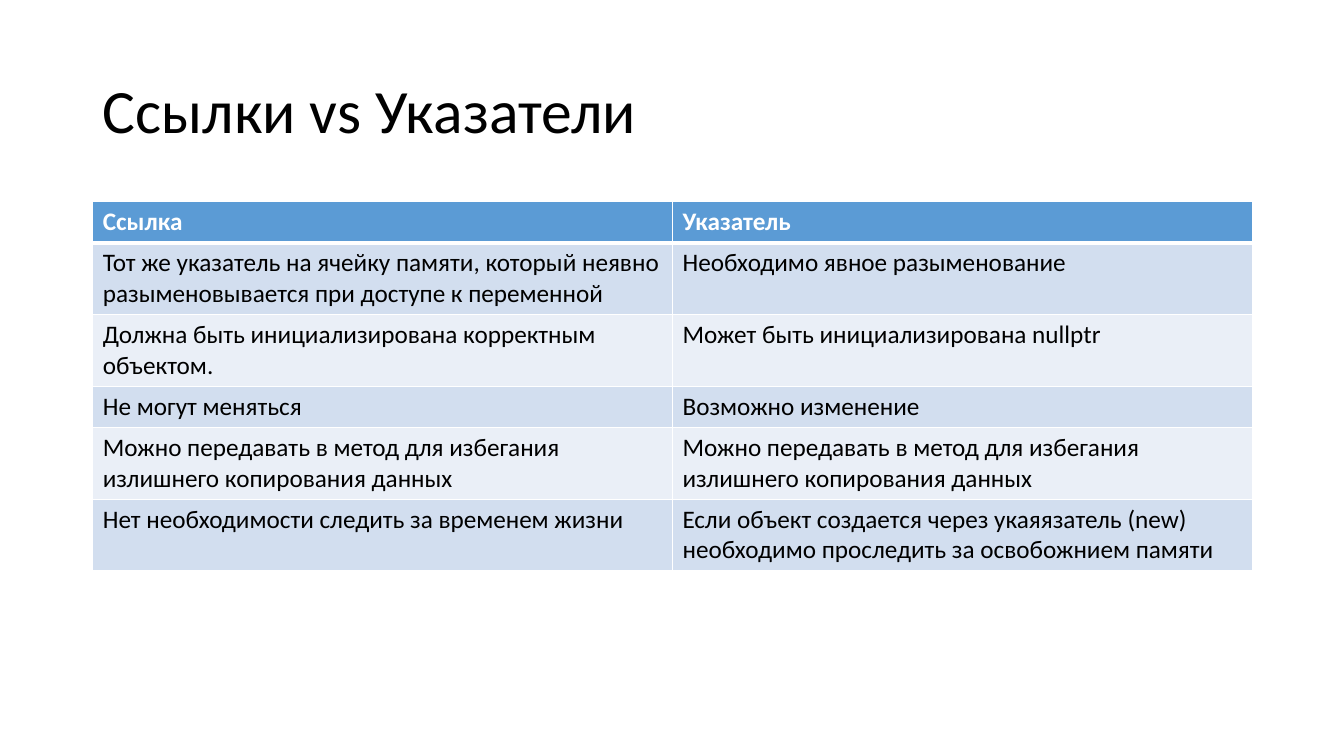
"""Build a slide comparing references and pointers in a two-column table."""
from dataclasses import dataclass

from lxml import etree
from pptx import Presentation
from pptx.dml.color import RGBColor
from pptx.enum.text import MSO_ANCHOR, MSO_AUTO_SIZE, PP_ALIGN
from pptx.oxml.ns import qn
from pptx.util import Inches, Pt

LEFT = PP_ALIGN.LEFT
MIDDLE = MSO_ANCHOR.MIDDLE
NO_AUTOFIT = MSO_AUTO_SIZE.NONE
FONT = "Calibri"
BLACK = RGBColor(0x00, 0x00, 0x00)
WHITE = RGBColor(0xFF, 0xFF, 0xFF)
HEADER_BLUE = RGBColor(0x5B, 0x9B, 0xD5)
BANDS = (RGBColor(0xEA, 0xEF, 0xF7), RGBColor(0xD2, 0xDE, 0xEF))
MARGIN, WIDTH = 0.92, 11.5
TABLE_TOP, TABLE_HEIGHT, ROW_HEIGHT = 2, 3.61, 0.41


@dataclass(frozen=True)
class Comparison:
    reference: str
    pointer: str


COMPARISONS = (
    Comparison("Ссылка", "Указатель"),
    Comparison("Тот же указатель на ячейку памяти, который неявно "
               "разыменовывается при доступе к переменной",
               "Необходимо явное разыменование"),
    Comparison("Должна быть инициализирована корректным объектом.",
               "Может быть инициализирована nullptr"),
    Comparison("Не могут меняться", "Возможно изменение"),
    Comparison("Можно передавать в метод для избегания излишнего копирования данных",
               "Можно передавать в метод для избегания излишнего копирования данных"),
    Comparison("Нет необходимости следить за временем жизни",
               "Если объект создается через укаяязатель (new) необходимо "
               "проследить за освобожнием памяти"),
)


def write(tf, text: str, *, size: float, color: RGBColor = BLACK,
          bold: bool = False, spacing: float = 1.0) -> None:
    p = tf.paragraphs[0]
    p.alignment = LEFT
    p.line_spacing = spacing
    r = p.add_run()
    r.text = text
    r.font.name = FONT
    r.font.size = Pt(size)
    r.font.bold = bold
    r.font.color.rgb = color


def add_borders(cell, top: float, bottom: float) -> None:
    tc_pr = cell._tc.get_or_add_tcPr()
    for side, width in (("L", 1), ("R", 1), ("T", top), ("B", bottom)):
        ln = etree.SubElement(tc_pr, qn(f"a:ln{side}"), w=str(Pt(width)))
        fill = etree.SubElement(ln, qn("a:solidFill"))
        etree.SubElement(fill, qn("a:srgbClr"), val=str(WHITE))


def add_title(s, text: str) -> None:
    sp = s.shapes.title
    sp.left, sp.top = Inches(MARGIN), Inches(0.4)
    sp.width, sp.height = Inches(WIDTH), Inches(1.45)
    tf = sp.text_frame
    tf.word_wrap = True
    tf.auto_size = NO_AUTOFIT
    tf.vertical_anchor = MIDDLE
    write(tf, text, size=44, spacing=0.9)


def add_comparison_table(s, comparisons: tuple[Comparison, ...]) -> None:
    frame = s.shapes.add_table(len(comparisons), 2, Inches(MARGIN), Inches(TABLE_TOP),
                               Inches(WIDTH), Inches(TABLE_HEIGHT))
    table = frame.table
    for i, comparison in enumerate(comparisons):
        table.rows[i].height = Inches(ROW_HEIGHT)
        header = i == 0
        for j, text in enumerate((comparison.reference, comparison.pointer)):
            cell = table.cell(i, j)
            add_borders(cell, top=3 if i == 1 else 1, bottom=3 if header else 1)
            cell.fill.solid()
            cell.fill.fore_color.rgb = HEADER_BLUE if header else BANDS[i % 2]
            write(cell.text_frame, text, size=18, bold=header,
                  color=WHITE if header else BLACK)
    frame.height = Inches(TABLE_HEIGHT)


def main() -> None:
    prs = Presentation()
    prs.slide_width, prs.slide_height = Inches(13.33), Inches(7.5)
    s = prs.slides.add_slide(prs.slide_layouts[5])
    add_title(s, "Ссылки vs Указатели")
    add_comparison_table(s, COMPARISONS)
    prs.save("out.pptx")


if __name__ == "__main__":
    main()
